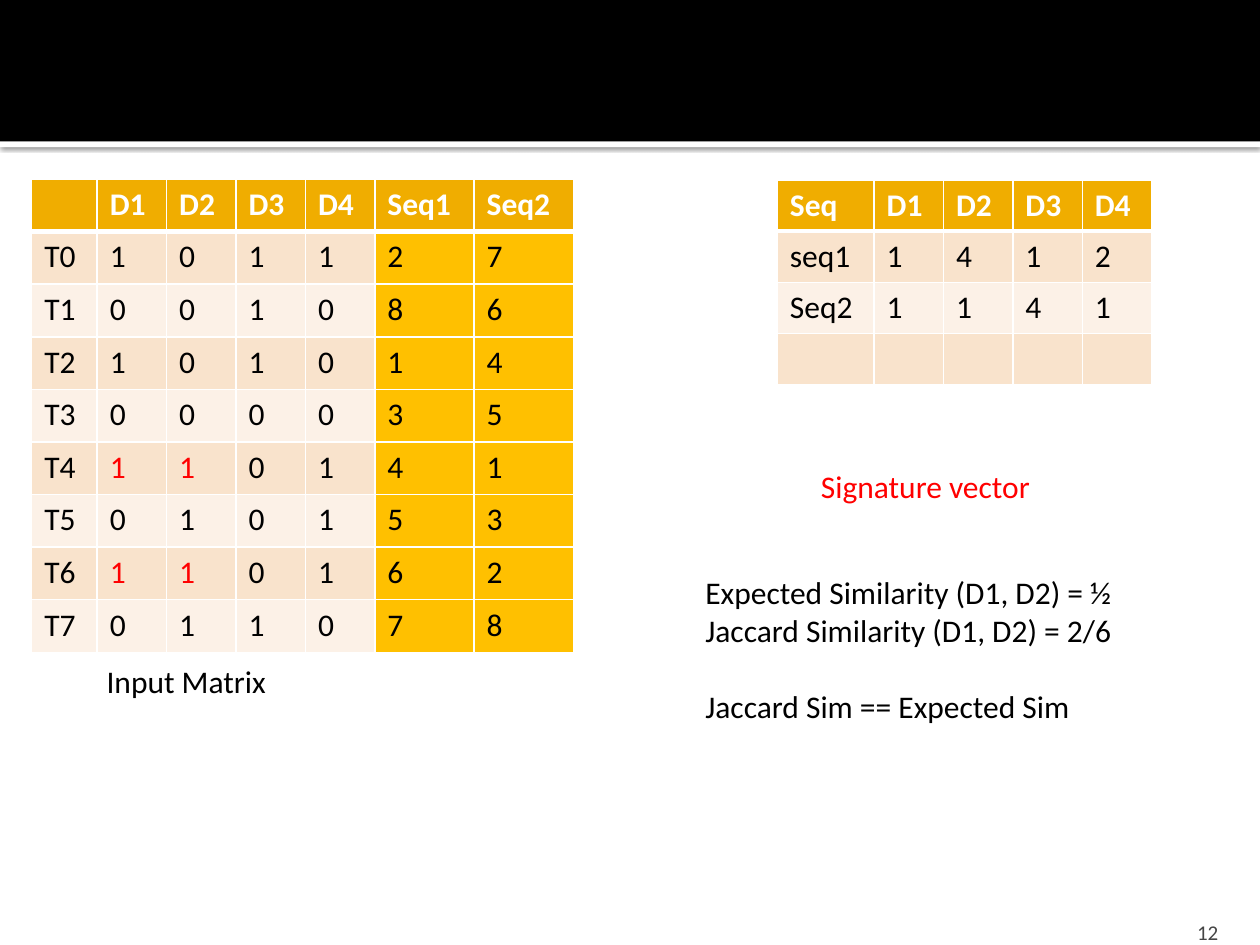
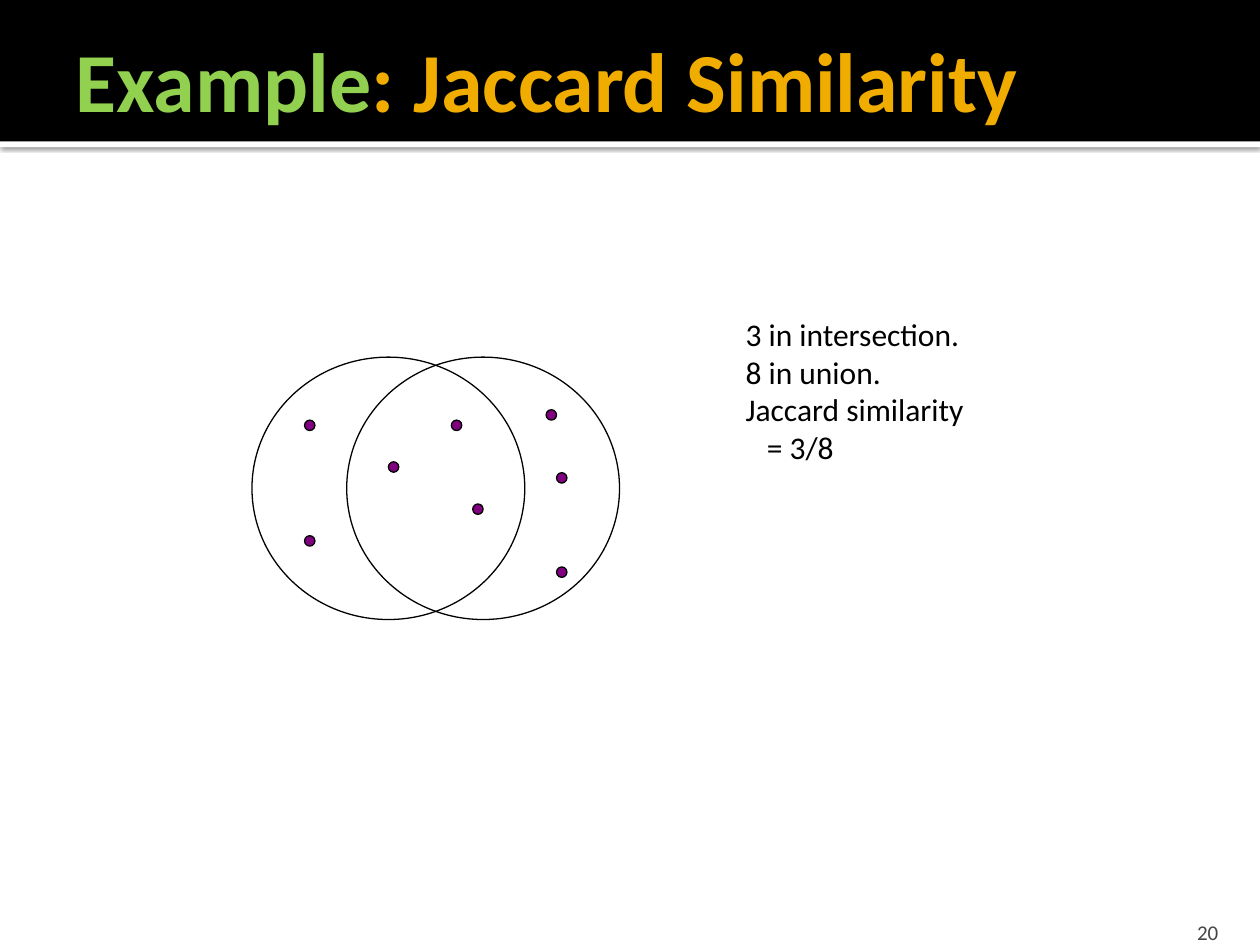
from dataclasses import dataclass
from lxml import etree
from pptx import Presentation
from pptx.dml.color import RGBColor
from pptx.enum.shapes import MSO_SHAPE
from pptx.enum.text import MSO_ANCHOR, MSO_AUTO_SIZE, PP_ALIGN
from pptx.oxml.ns import qn
from pptx.util import Cm, Pt

RECT, OVAL = MSO_SHAPE.RECTANGLE, MSO_SHAPE.OVAL
LEFT, RIGHT = PP_ALIGN.LEFT, PP_ALIGN.RIGHT
MIDDLE, BOTTOM = MSO_ANCHOR.MIDDLE, MSO_ANCHOR.BOTTOM
FIXED = MSO_AUTO_SIZE.NONE


@dataclass(frozen=True)
class Theme:
    font: str = "Calibri"
    black: str = "000000"
    white: str = "FFFFFF"
    gray: str = "454545"
    gold: str = "F0AD00"
    amber: str = "FFC000"
    green: str = "92D050"
    red: str = "FF0000"
    purple: str = "800080"
    bands: tuple = ("F9E3CC", "FCF1E7")
    title: int = 48
    body: int = 18
    foot: int = 12
    line: float = 0.75
    rule: int = 1
    thick: int = 3


T = Theme()
WIDE, HIGH = 25.4, 19.05
BAR, STRIP = 2.85, 0.12

INPUT = {
    "at": (0.64, 3.61),
    "cols": (1.32, 1.4, 1.4, 1.4, 1.4, 2, 2),
    "row": 1.06,
    "cells": [
        ("", "D1", "D2", "D3", "D4", "Seq1", "Seq2"),
        ("T0", 1, 0, 1, 1, 2, 7),
        ("T1", 0, 0, 1, 0, 8, 6),
        ("T2", 1, 0, 1, 0, 1, 4),
        ("T3", 0, 0, 0, 0, 3, 5),
        ("T4", 1, 1, 0, 1, 4, 1),
        ("T5", 0, 1, 0, 1, 5, 3),
        ("T6", 1, 1, 0, 1, 6, 2),
        ("T7", 0, 1, 1, 0, 7, 8),
    ],
    "seqs": (5, 6),
    "shared": {(5, 1), (5, 2), (7, 1), (7, 2)},
}
SIGNS = {
    "at": (15.67, 3.63),
    "cols": (1.95, 1.4, 1.4, 1.4, 1.4),
    "row": 1.03,
    "cells": [
        ("Seq", "D1", "D2", "D3", "D4"),
        ("seq1", 1, 4, 1, 2),
        ("Seq2", 1, 1, 4, 1),
        ("", "", "", "", ""),
    ],
    "seqs": (),
    "shared": set(),
}
SCORES = [
    "Expected Similarity (D1, D2) = ½",
    "Jaccard Similarity (D1, D2) = 2/6",
    "Jaccard Sim == Expected Sim",
]
TITLE = [("Example", T.green), (": Jaccard Similarity", T.gold)]
FACTS = ["3 in intersection.", "8 in union.", "Jaccard similarity", "= 3/8"]
SETS = [(6.99, 7.2), (5.08, 7.2)]
SET_SIZE = (5.5, 5.29)
DOTS = [
    (6.14, 8.47), (6.14, 10.8), (7.83, 9.31), (9.53, 10.16),
    (9.1, 8.47), (11.22, 9.53), (11.22, 11.43), (11.01, 8.26),
]
DOT_SIZE = (0.21, 0.21)


def rgb(tint):
    return RGBColor.from_string(tint)


def add_run(para, text, tint=T.black, size=T.body, bold=False):
    run = para.add_run()
    run.text = text
    font = run.font
    font.name, font.size, font.bold = T.font, Pt(size), bold
    font.color.rgb = rgb(tint)


def add_text(slide, box, lines, tint=T.black, size=T.body, side=LEFT):
    frame = slide.shapes.add_textbox(*map(Cm, box)).text_frame
    frame.word_wrap = True
    for i, line in enumerate(lines):
        para = frame.add_paragraph() if i else frame.paragraphs[0]
        para.alignment = side
        add_run(para, line, tint, size)
    return frame


def add_form(slide, kind, box, fill=None, line=None):
    form = slide.shapes.add_shape(kind, *map(Cm, box))
    form.shadow.inherit = False
    if fill:
        form.fill.solid()
        form.fill.fore_color.rgb = rgb(fill)
    else:
        form.fill.background()
    if line:
        form.line.color.rgb = rgb(line)
        form.line.width = Pt(T.line)
    else:
        form.line.fill.background()
    return form


def add_tint(node, tint):
    return etree.SubElement(node, qn("a:srgbClr"), val=tint)


def add_bands(deck, slide):
    strip = add_form(slide, RECT, (0, BAR, WIDE, STRIP), T.white)
    bar = add_form(slide, RECT, (0, 0, WIDE, BAR), T.black)
    glow = etree.SubElement(
        strip.element.spPr.find(qn("a:effectLst")), qn("a:outerShdw"),
        blurRad=str(Pt(2.5)), dist=str(Pt(0.8)), dir="5400000",
        algn="t", rotWithShape="0")
    etree.SubElement(add_tint(glow, T.black), qn("a:alpha"), val="60000")
    tree = deck.slide_master.shapes.element
    for i, form in enumerate((strip, bar)):
        tree.insert(2 + i, form.element)


def add_edges(cell, head):
    props = cell._tc.get_or_add_tcPr()
    for side in "LRTB":
        width = T.thick if head and side == "B" else T.rule
        edge = etree.SubElement(props, qn("a:ln" + side), w=str(Pt(width)))
        add_tint(etree.SubElement(edge, qn("a:solidFill")), T.white)


def add_grid(slide, data):
    rows, cols = data["cells"], data["cols"]
    box = (*data["at"], sum(cols), data["row"] * len(rows))
    grid = slide.shapes.add_table(len(rows), len(cols), *map(Cm, box)).table
    for c, width in enumerate(cols):
        grid.columns[c].width = Cm(width)
    for r, row in enumerate(rows):
        grid.rows[r].height = Cm(data["row"])
        for c, value in enumerate(row):
            cell, head = grid.cell(r, c), r == 0
            add_edges(cell, head)
            fill = T.amber if c in data["seqs"] else T.bands[(r - 1) % 2]
            cell.fill.solid()
            cell.fill.fore_color.rgb = rgb(T.gold if head else fill)
            tint = T.red if (r, c) in data["shared"] else T.black
            if value != "":
                add_run(cell.text_frame.paragraphs[0], str(value),
                        T.white if head else tint, bold=head)


def add_page(slide, page):
    frame = add_text(slide, (22.78, 18.29, 2.03, 0.76), [page],
                     T.gray, T.foot, RIGHT)
    frame.vertical_anchor = BOTTOM
    frame.margin_bottom = 0


def add_title(slide):
    title = slide.shapes.title
    title.left, title.top, title.width, title.height = map(
        Cm, (1.27, 0.43, 24.13, 2.34))
    frame = title.text_frame
    frame.auto_size, frame.vertical_anchor = FIXED, MIDDLE
    frame.margin_right = Cm(0.13)
    para = frame.paragraphs[0]
    para.alignment = LEFT
    for text, tint in TITLE:
        add_run(para, text, tint, T.title, True)


def matrix(slide):
    add_page(slide, "12")
    add_grid(slide, INPUT)
    add_text(slide, (1.9, 13.23, 6.55, 1.02), ["Input Matrix"])
    add_grid(slide, SIGNS)
    add_text(slide, (16.3, 9.3, 5.92, 1.02), ["Signature vector"], T.red)
    frame = add_text(slide, (13.97, 11.43, 10.16, 4.11), SCORES)
    frame.paragraphs[-1].space_before = Pt(22)


def venn(slide):
    add_page(slide, "20")
    add_title(slide)
    for at in SETS:
        add_form(slide, OVAL, at + SET_SIZE, line=T.black)
    for at in DOTS:
        add_form(slide, OVAL, at + DOT_SIZE, T.purple, T.black)
    frame = add_text(slide, (14.78, 6.22, 6.91, 4.32), FACTS)
    props = frame.paragraphs[-1]._p.get_or_add_pPr()
    props.set("marL", str(Cm(0.43)))


def main():
    deck = Presentation()
    deck.slide_width, deck.slide_height = Cm(WIDE), Cm(HIGH)
    first = deck.slides.add_slide(deck.slide_layouts[6])
    add_bands(deck, first)
    matrix(first)
    venn(deck.slides.add_slide(deck.slide_layouts[5]))
    deck.save("out.pptx")


if __name__ == "__main__":
    main()
